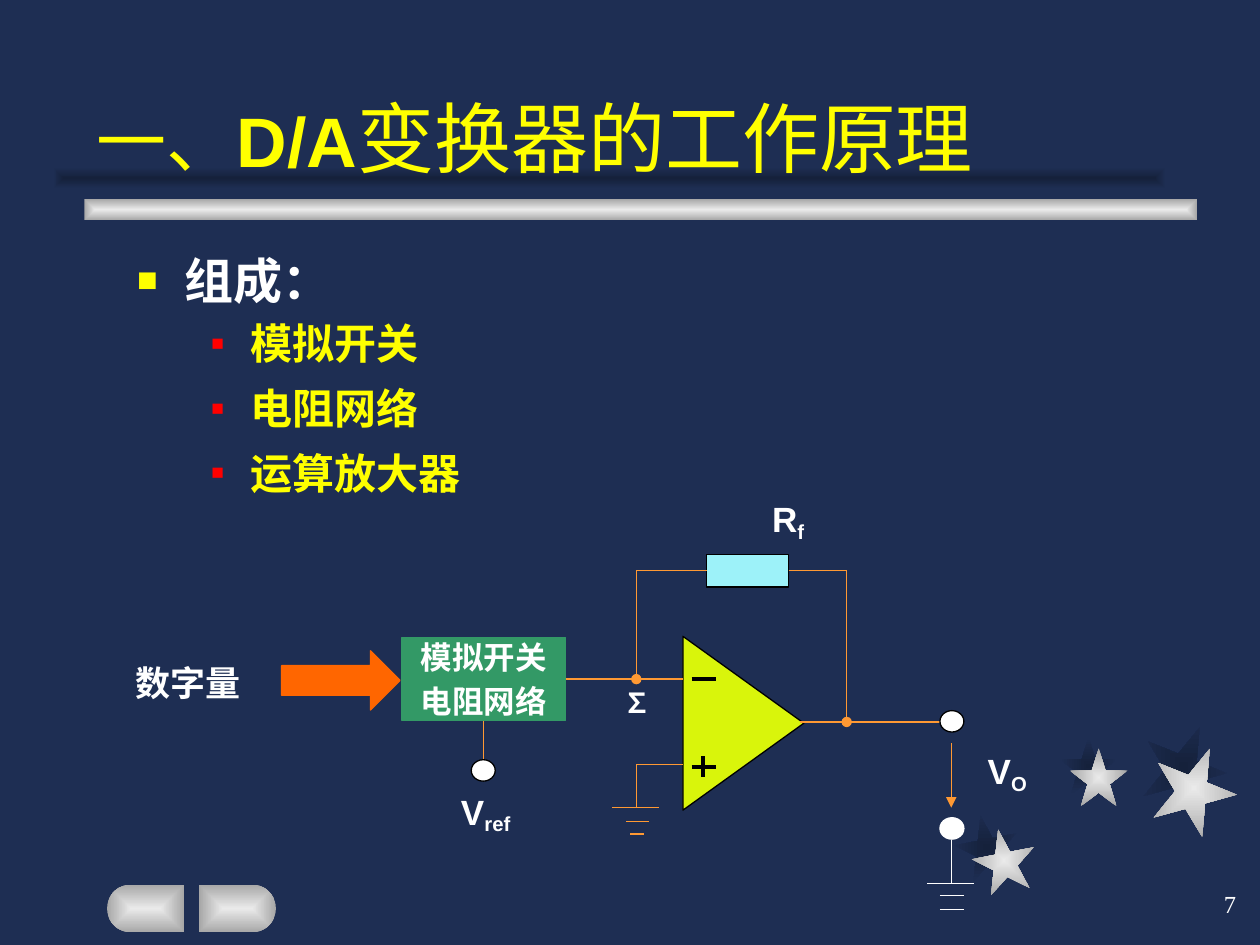
from math import cos, pi, sin
from lxml import etree
from pptx import Presentation
from pptx.dml.color import RGBColor
from pptx.enum.shapes import MSO_CONNECTOR as CONN, MSO_SHAPE as SHAPE
from pptx.enum.text import MSO_ANCHOR as ANCHOR, PP_ALIGN as ALIGN
from pptx.oxml.ns import qn
from pptx.util import Inches, Pt

COLORS = {
    "bg": "1E2E53", "shade": "15213B", "silver": "EAEAEA", "gray": "A7A7A7",
    "white": "FFFFFF", "black": "000000", "yellow": "FFFF00", "red": "FF0000",
    "green": "339966", "lime": "D9F50B", "cyan": "9DF2F9",
    "wire": "FF9933", "arrow": "FF6600",
}
RGB = {name: RGBColor.from_string(value) for name, value in COLORS.items()}
SILVER, SHADOW = ("silver", "gray"), ("shade", "bg")


def style(sp, fill, line=None):
    """Fill with one colour, or with a centre-to-edge pair of colours."""
    sp.shadow.inherit = False
    if isinstance(fill, tuple):
        sp.fill.gradient()
        for stop, name, pos in zip(sp.fill.gradient_stops, fill, (0, 1)):
            stop.color.rgb = RGB[name]
            stop.position = pos
        grad = sp._element.spPr.find(qn("a:gradFill"))
        grad.remove(grad.find(qn("a:lin")))
        path = etree.SubElement(grad, qn("a:path"), path="rect")
        etree.SubElement(path, qn("a:fillToRect"), l="50000", t="50000", r="50000", b="50000")
    else:
        sp.fill.solid()
        sp.fill.fore_color.rgb = RGB[fill]
    if line:
        sp.line.color.rgb = RGB[line]
        sp.line.width = Pt(0.75)
    else:
        sp.line.fill.background()
    return sp


def add_run(p, text, size, color="white", bold=True, font="Arial", base=None):
    r = p.add_run()
    r.text = text
    r.font.size, r.font.bold, r.font.name = Pt(size), bold, font
    r.font.color.rgb = RGB[color]
    rPr = r._r.get_or_add_rPr()
    etree.SubElement(rPr, qn("a:ea"), typeface="Noto Sans CJK SC")
    if base:
        rPr.set("baseline", str(base * 1000))


prs = Presentation()
prs.slide_width, prs.slide_height = Inches(10), Inches(7.5)
s = prs.slides.add_slide(prs.slide_layouts[6])
s.background.fill.solid()
s.background.fill.fore_color.rgb = RGB["bg"]
shapes = s.shapes

# Stars and title bar, each with a shadow
decor = [
    (SHAPE.STAR_5_POINT, 7.58, 6.47, 0.5, 0.5, 349, SHADOW),
    (SHAPE.STAR_5_POINT, 8.41, 5.85, 0.46, 0.46, 0, SHADOW),
    (SHAPE.STAR_5_POINT, 9.06, 5.75, 0.67, 0.67, 22, SHADOW),
    (SHAPE.STAR_5_POINT, 7.72, 6.58, 0.5, 0.5, 349, SILVER),
    (SHAPE.STAR_5_POINT, 8.49, 5.94, 0.46, 0.46, 0, SILVER),
    (SHAPE.STAR_5_POINT, 9.14, 5.92, 0.67, 0.67, 22, SILVER),
    (SHAPE.RECTANGLE, 0.67, 1.58, 8.83, 0.17, 0, SILVER),
    (SHAPE.RECTANGLE, 0.42, 1.33, 8.83, 0.17, 0, SHADOW),
]
for kind, x, y, w, h, angle, fill in decor:
    sp = style(shapes.add_shape(kind, Inches(x), Inches(y), Inches(w), Inches(h)), fill)
    sp.rotation = angle

# Navigation buttons, rounded on the outer side
radius, steps = 0.19, 18
for flat_x, side in ((1.46, -1), (1.58, 1)):
    arc_x = flat_x + side * 0.42
    points = [(arc_x + side * radius * sin(pi * i / steps), 7.21 - radius * cos(pi * i / steps))
              for i in range(steps + 1)] + [(flat_x, 7.4)]
    outline = shapes.build_freeform(Inches(flat_x), Inches(7.02))
    outline.add_line_segments([(Inches(x), Inches(y)) for x, y in points])
    style(outline.convert_to_shape(), SILVER)

# Title
tf = shapes.add_textbox(Inches(0.67), Inches(0.67), Inches(8.5), Inches(0.83)).text_frame
tf.word_wrap, tf.vertical_anchor = True, ANCHOR.BOTTOM
for text, size, bold in (("一、", 40, False), ("D/A", 40, True), ("变换器的工作原理", 44, False)):
    add_run(tf.paragraphs[0], text, size, "yellow", bold)

# Bulleted list: text, level, size, colour, bullet colour, bullet %, left, hang, before, spacing
items = [
    ("组成：", 0, 28, "white", "yellow", 70, 0.38, 0.38, 0, 1),
    ("模拟开关", 1, 24, "yellow", "red", 50, 0.9, 0.31, 4.8, 1),
    ("电阻网络", 1, 24, "yellow", "red", 50, 0.9, 0.31, 2.4, 1.2),
    ("运算放大器", 1, 24, "yellow", "red", 50, 0.9, 0.31, 2.4, 1.2),
]
tf = shapes.add_textbox(Inches(0.99), Inches(1.94), Inches(8.5), Inches(2.29)).text_frame
tf.word_wrap = True
for i, (text, level, size, color, dot, pct, left, hang, before, spacing) in enumerate(items):
    p = tf.add_paragraph() if i else tf.paragraphs[0]
    p.level, p.line_spacing = level, spacing
    if before:
        p.space_before = Pt(before)
    pPr = p._p.get_or_add_pPr()
    pPr.set("marL", str(Inches(left)))
    pPr.set("indent", str(-Inches(hang)))
    bu = etree.SubElement(pPr, qn("a:buClr"))
    etree.SubElement(bu, qn("a:srgbClr"), val=COLORS[dot])
    etree.SubElement(pPr, qn("a:buSzPct"), val=str(pct * 1000))
    etree.SubElement(pPr, qn("a:buFont"), typeface="Arial")
    etree.SubElement(pPr, qn("a:buChar"), char="■")
    add_run(p, text, size, color)

# Circuit blocks
blocks = [
    ("network", SHAPE.RECTANGLE, 3.19, 5.06, 1.3, 0.66, 0, "green", "green"),
    ("amplifier", SHAPE.ISOSCELES_TRIANGLE, 5.21, 5.26, 1.38, 0.96, 90, "lime", "black"),
    ("resistor", SHAPE.RECTANGLE, 5.61, 4.4, 0.65, 0.26, 0, "cyan", "black"),
    ("input", SHAPE.DOWN_ARROW, 2.47, 4.93, 0.47, 0.94, 270, "arrow", "arrow"),
]
block = {}
for name, kind, x, y, w, h, angle, fill, line in blocks:
    sp = shapes.add_shape(kind, Inches(x), Inches(y), Inches(w), Inches(h))
    block[name] = style(sp, fill, line)
    sp.rotation = angle
tf = block["network"].text_frame
tf.margin_left = tf.margin_right = tf.margin_top = tf.margin_bottom = 0
tf.vertical_anchor = ANCHOR.MIDDLE
for i, text in enumerate(("模拟开关", "电阻网络")):
    p = tf.add_paragraph() if i else tf.paragraphs[0]
    p.alignment = ALIGN.CENTER
    if i:
        p.space_before = Pt(3.6)
    add_run(p, text, 18, font="Times New Roman")

# Wires: from, to, colour, width, end mark, (block, side) at the start
wires = [
    (4.49, 5.39, 5.42, 5.39, "wire", 0.75, None, ("network", 3)),
    (3.84, 5.72, 3.84, 6.07, "wire", 0.75, None, ("network", 2)),
    (5.61, 4.53, 5.05, 4.53, "wire", 0.75, None, ("resistor", 1)),
    (6.26, 4.53, 6.72, 4.53, "wire", 0.75, None, ("resistor", 3)),
    (5.05, 4.53, 5.05, 5.39, "wire", 0.75, "oval", None),
    (6.72, 4.53, 6.72, 5.73, "wire", 0.75, "oval", None),
    (6.35, 5.73, 7.46, 5.73, "wire", 0.75, None, None),
    (7.55, 5.9, 7.55, 6.41, "wire", 0.75, "triangle", None),
    (5.42, 6.07, 5.05, 6.07, "wire", 0.75, None, None),
    (5.05, 6.07, 5.05, 6.41, "wire", 0.75, None, None),
    (4.86, 6.41, 5.23, 6.41, "wire", 0.75, None, None),
    (4.97, 6.52, 5.15, 6.52, "wire", 0.75, None, None),
    (5, 6.62, 5.11, 6.62, "wire", 0.75, None, None),
    (7.55, 6.67, 7.55, 7.01, "white", 0.75, None, None),
    (7.36, 7.01, 7.73, 7.01, "white", 0.75, None, None),
    (7.46, 7.11, 7.65, 7.11, "white", 0.75, None, None),
    (7.46, 7.22, 7.65, 7.22, "white", 0.75, None, None),
    (5.49, 6.09, 5.68, 6.09, "black", 2.25, None, None),
    (5.58, 6, 5.58, 6.17, "black", 2.25, None, None),
    (5.49, 5.39, 5.68, 5.39, "black", 2.25, None, None),
]
for x1, y1, x2, y2, color, width, mark, joint in wires:
    wire = shapes.add_connector(CONN.STRAIGHT, Inches(x1), Inches(y1), Inches(x2), Inches(y2))
    wire.line.color.rgb, wire.line.width = RGB[color], Pt(width)
    if mark:
        etree.SubElement(wire.line._get_or_add_ln(), qn("a:tailEnd"), type=mark)
    etree.SubElement(wire._element.spPr, qn("a:effectLst"))
    if joint:
        wire.begin_connect(block[joint[0]], joint[1])

# Terminals
for x, y, line in ((7.46, 5.64, "black"), (7.46, 6.49, "white"), (3.74, 6.03, "black")):
    style(shapes.add_shape(SHAPE.OVAL, Inches(x), Inches(y), Inches(0.19), Inches(0.17)),
          "white", line)

# Circuit labels, some with a subscript
labels = [
    (3.58, 6.27, 0.55, 0.36, "V", "ref", 20, "Arial"),
    (6.06, 3.95, 0.39, 0.32, "R", "f", 20, "Arial"),
    (7.76, 5.95, 0.47, 0.32, "V", "O", 20, "Arial"),
    (0.98, 5.25, 1.02, 0.31, "数字量", "", 20, "Arial"),
    (4.92, 5.44, 0.28, 0.28, "∑", "", 16, "Noto Sans CJK SC"),
]
for x, y, w, h, text, sub, size, font in labels:
    tf = shapes.add_textbox(Inches(x), Inches(y), Inches(w), Inches(h)).text_frame
    tf.margin_left = tf.margin_right = tf.margin_top = tf.margin_bottom = 0
    tf.word_wrap = True
    p = tf.paragraphs[0]
    p.alignment = ALIGN.CENTER
    add_run(p, text, size, font=font)
    if sub:
        add_run(p, sub, size, font=font, base=-20)

# Slide number
tf = shapes.add_textbox(Inches(7.83), Inches(6.92), Inches(2.08), Inches(0.5)).text_frame
tf.word_wrap, tf.vertical_anchor = True, ANCHOR.MIDDLE
tf.paragraphs[0].alignment = ALIGN.RIGHT
add_run(tf.paragraphs[0], "7", 14, bold=False, font="Times New Roman")

prs.save("out.pptx")
